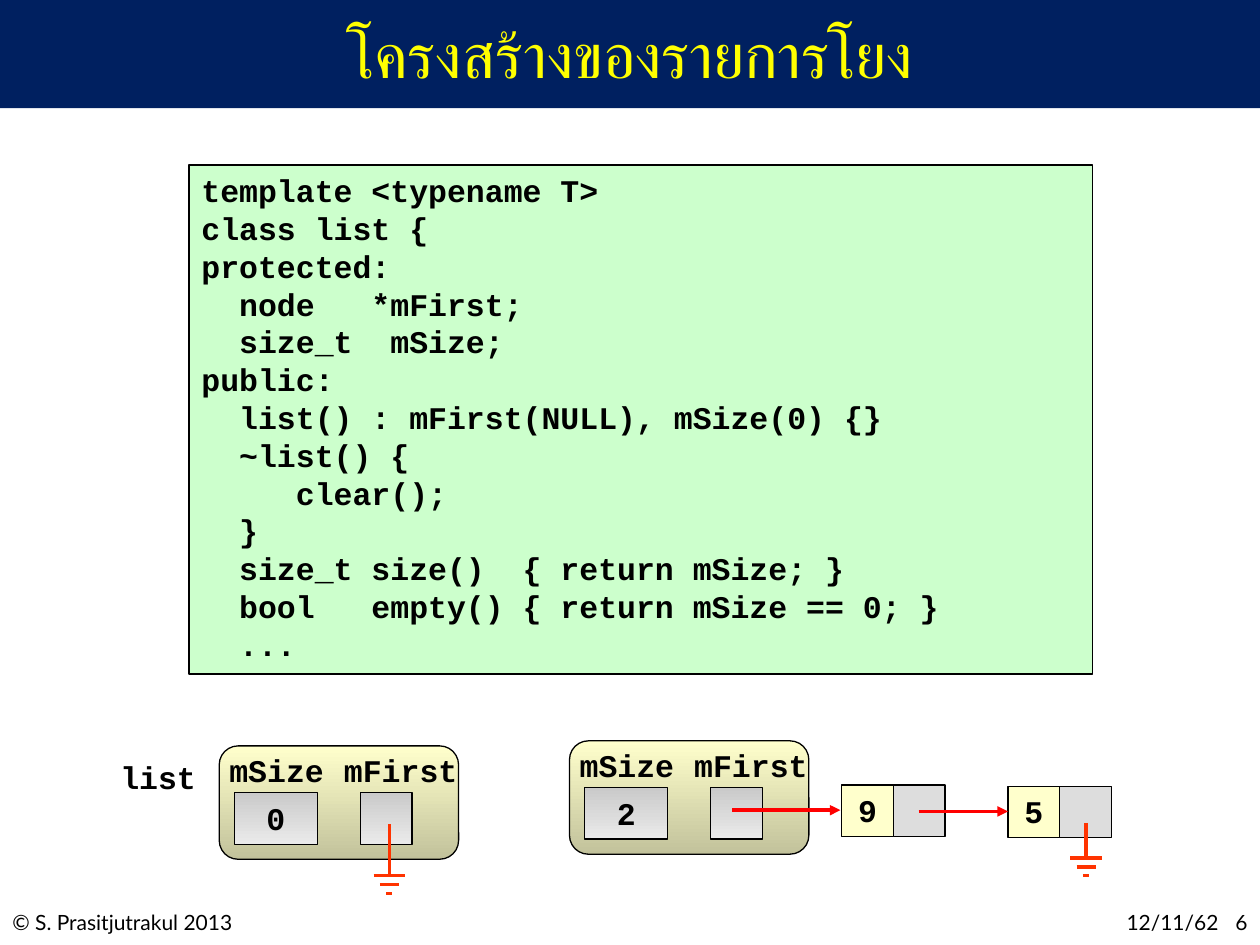
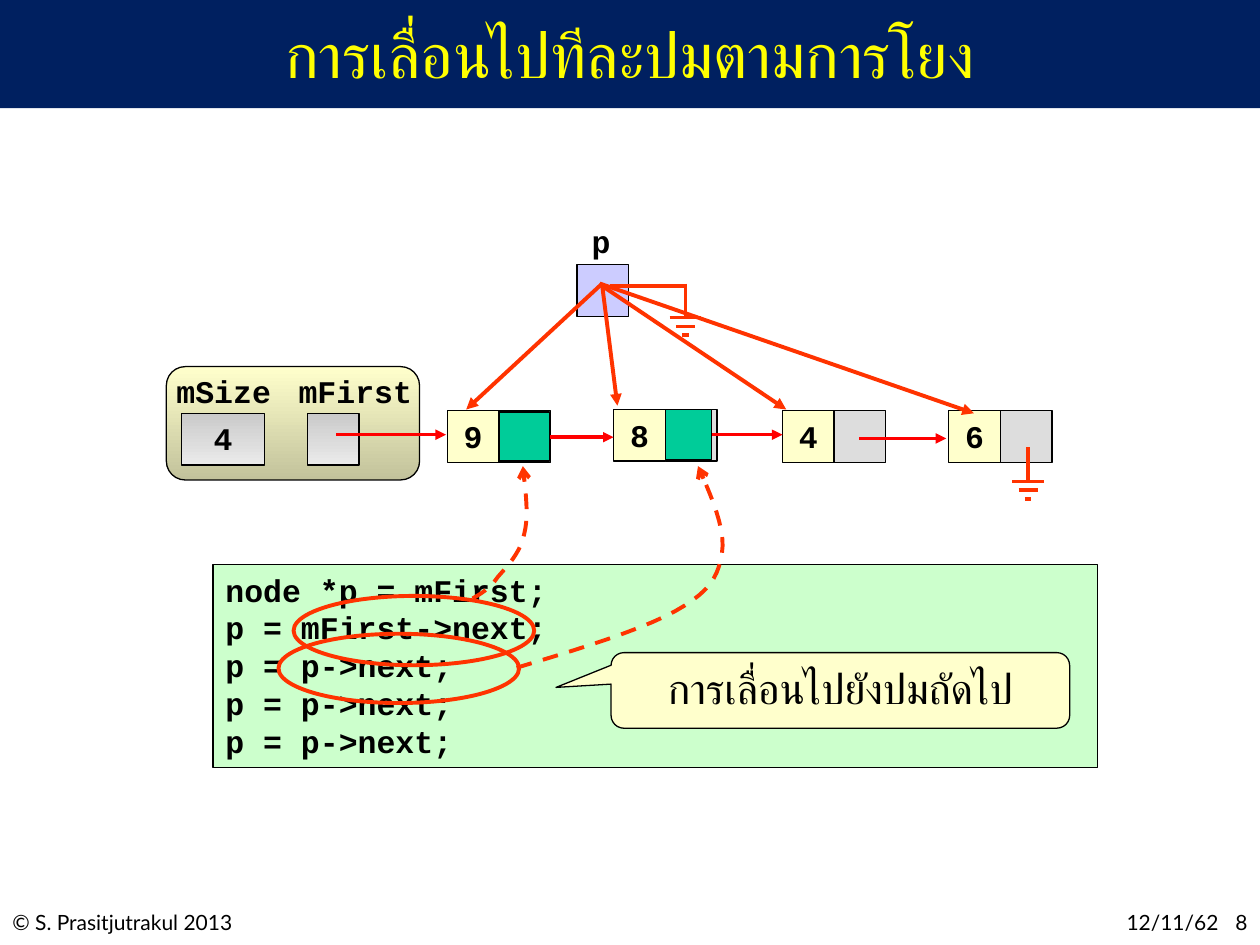
from lxml.etree import SubElement
from pptx import Presentation
from pptx.dml.color import RGBColor
from pptx.enum.dml import MSO_LINE as Dash
from pptx.enum.shapes import MSO_CONNECTOR as Conn, MSO_SHAPE as Form
from pptx.enum.text import MSO_ANCHOR as Anchor, PP_ALIGN as Align
from pptx.oxml.ns import qn
from pptx.util import Inches, Pt

MONO, SANS = "Courier New", "Lato"
BLACK, NAVY, YELLOW = "000000", "002060", "FFFF00"
RED, ORANGE = "FF0000", "FF3300"
CREAM, GREY, LILAC, TEAL, MINT = "FFFFCC", "DDDDDD", "CCCCFF", "00CC99", "CCFFCC"
CARD, SLOT = (CREAM, "C2C29B"), ("CACACA", "EAEAEA")
CELL = 0.41


def color(code):
    return RGBColor.from_string(code)


def curve(start, parts, steps=10):
    """Points along a chain of cubic curves, each (control, control, end)."""
    dots = [start]
    for a, b, end in parts:
        first = dots[-1]
        for i in range(1, steps + 1):
            t = i / steps
            u = 1 - t
            dots.append(tuple(
                u**3 * p + 3 * u * u * t * q + 3 * u * t * t * r + t**3 * s
                for p, q, r, s in zip(first, a, b, end)))
    return dots


class Deck:
    def __init__(self):
        self.show = Presentation()
        self.show.slide_width, self.show.slide_height = Inches(10), Inches(7.5)
        self.shapes = None

    def page(self, title, number):
        self.shapes = self.show.slides.add_slide(self.show.slide_layouts[6]).shapes
        self.box(0, 0, 10, 0.86, NAVY, edge=None)
        self.label(0, 7.17, 3.25, "© S. Prasitjutrakul 2013", Align.LEFT, 12, SANS, False)
        self.label(7.6, 7.17, 2.17, "12/11/62", Align.RIGHT, 12, SANS, False)
        self.label(9.5, 7.17, 0.5, number, Align.RIGHT, 12, SANS, False)
        head = self.label(0.75, 0.01, 8.5, title, size=36, bold=False, ink=YELLOW, h=0.83)
        head.text_frame.vertical_anchor = Anchor.MIDDLE

    def fill_text(self, shape, lines, align=Align.CENTER, size=18, font=MONO,
                  bold=True, ink=BLACK, pitch=None):
        frame = shape.text_frame
        frame.word_wrap = True
        frame.vertical_anchor = Anchor.TOP
        for i, line in enumerate(lines):
            para = frame.add_paragraph() if i else frame.paragraphs[0]
            para.alignment = align
            if pitch:
                para.line_spacing = Pt(pitch)
            run = para.add_run()
            run.text = line
            run.font.name, run.font.size, run.font.bold = font, Pt(size), bold
            run.font.color.rgb = color(ink)
        for props in shape.element.iter(qn("a:rPr")):
            SubElement(props, qn("a:cs")).set("typeface", font)

    def label(self, x, y, w, text, align=Align.CENTER, size=18, font=MONO,
              bold=True, ink=BLACK, h=0.4):
        shape = self.shapes.add_textbox(Inches(x), Inches(y), Inches(w), Inches(h))
        self.fill_text(shape, [text], align, size, font, bold, ink)
        return shape

    def box(self, x, y, w, h, fill, text="", form=Form.RECTANGLE, edge=BLACK, weight=0.75):
        """Preset shape; a pair of colours makes a downward gradient."""
        shape = self.shapes.add_shape(form, Inches(x), Inches(y), Inches(w), Inches(h))
        shape.shadow.inherit = False
        if fill is None:
            shape.fill.background()
        elif isinstance(fill, tuple):
            shape.fill.gradient()
            shape.fill.gradient_angle = 270
            for stop, code in zip(shape.fill.gradient_stops, fill):
                stop.color.rgb = color(code)
        else:
            shape.fill.solid()
            shape.fill.fore_color.rgb = color(fill)
        if edge:
            self.stroke(shape, edge, weight)
        else:
            shape.line.fill.background()
        if text:
            self.fill_text(shape, [text])
        return shape

    def stroke(self, shape, ink, weight, tip=None):
        shape.line.color.rgb = color(ink)
        shape.line.width = Pt(weight)
        if tip:
            SubElement(shape.element.spPr.find(qn("a:ln")), qn("a:tailEnd")).set("type", tip)

    def line(self, x1, y1, x2, y2, ink=ORANGE, weight=2, tip=None):
        link = self.shapes.add_connector(
            Conn.STRAIGHT, Inches(x1), Inches(y1), Inches(x2), Inches(y2))
        self.stroke(link, ink, weight, tip)
        SubElement(link.element.spPr, qn("a:effectLst"))

    def arrow(self, x1, y1, x2, y2, ink=RED, weight=2):
        self.line(x1, y1, x2, y2, ink, weight, "triangle")

    def trail(self, start, parts):
        """Dashed curved arrow."""
        dots = [(Inches(x), Inches(y)) for x, y in curve(start, parts)]
        pen = self.shapes.build_freeform(*dots[0])
        pen.add_line_segments(dots[1:], close=False)
        shape = pen.convert_to_shape()
        shape.shadow.inherit = False
        shape.fill.background()
        shape.line.dash_style = Dash.DASH
        self.stroke(shape, ORANGE, 2.25, "arrow")

    def ring(self, x, y):
        self.box(x, y, 1.91, 0.55, None, form=Form.OVAL, edge=ORANGE, weight=2.25)

    def ground(self, x, top, y):
        """Null sign: a stem and three shrinking bars."""
        self.line(x, top, x, y)
        for i, half in enumerate((0.125, 0.075, 0.025)):
            self.line(x - half, y + 0.07 * i, x + half, y + 0.07 * i)

    def head(self, x, y, count, w=1.9, tag=1.44):
        """List object; tag is the offset of the middle of the mFirst label."""
        self.box(x, y, w, 0.9, CARD, form=Form.ROUNDED_RECTANGLE)
        self.box(x + 1.12, y + 0.37, CELL, CELL, SLOT)
        self.label(x + tag - 0.6, y - 0.01, 1.2, "mFirst")
        self.box(x + 0.12, y + 0.37, 0.66, CELL, SLOT, count)
        self.label(x - 0.05, y - 0.01, 1.01, "mSize")

    def node(self, x, y, value):
        self.box(x, y, CELL, CELL, CREAM, value)
        self.box(x + CELL, y, CELL, CELL, GREY)

    def code(self, x, y, w, h, text):
        self.fill_text(self.box(x, y, w, h, MINT), text.strip("\n").split("\n"),
                       Align.LEFT, pitch=21.6)


LIST_CODE = """
template <typename T>
class list {
protected:
  node   *mFirst;
  size_t  mSize;
public:
  list() : mFirst(NULL), mSize(0) {}
  ~list() {
     clear();
  }
  size_t size()  { return mSize; }
  bool   empty() { return mSize == 0; }
  ...
"""

WALK_CODE = """
node *p = mFirst;
p = mFirst->next;
p = p->next;
p = p->next;
p = p->next;
"""


def layout(deck):
    deck.page("โครงสร้างของรายการโยง", "6")
    deck.head(1.74, 5.92, "0")
    deck.ground(3.09, 6.54, 6.95)
    deck.head(4.52, 5.88, "2")
    deck.node(8, 6.24, "5")
    deck.ground(8.62, 6.53, 6.81)
    deck.node(6.68, 6.23, "9")
    deck.arrow(5.81, 6.43, 6.67, 6.43)
    deck.arrow(7.29, 6.44, 8, 6.44)
    deck.code(1.5, 1.31, 7.17, 4.04, LIST_CODE)
    deck.label(0.77, 5.97, 0.97, "list")


def walk(deck):
    deck.page("การเลื่อนไปทีละปมตามการโยง", "8")
    deck.head(1.32, 2.91, "4", 2.01, 1.5)
    for x, y, value in ((3.55, 3.26, "9"), (4.87, 3.25, "8"),
                        (6.21, 3.26, "4"), (7.53, 3.26, "6")):
        deck.node(x, y, value)
    deck.ground(8.16, 3.55, 3.82)
    for x, y, end in ((2.67, 3.45, 3.54), (4.15, 3.47, 4.87),
                      (5.46, 3.45, 6.21), (6.82, 3.48, 7.51)):
        deck.arrow(x, y, end, y)

    deck.box(4.58, 2.1, CELL, CELL, LILAC)
    deck.label(4.37, 1.71, 0.8, "p")
    deck.code(1.69, 4.48, 7.02, 1.61, WALK_CODE)

    deck.box(3.96, 3.27, 0.4, 0.39, TEAL)
    deck.ring(2.33, 4.73)
    deck.trail((3.75, 4.75), [
        ((3.82, 4.71), (3.89, 4.67), (3.95, 4.58)),
        ((4.02, 4.5), (4.13, 4.39), (4.16, 4.24)),
        ((4.2, 4.09), (4.17, 3.9), (4.15, 3.7))])
    deck.box(5.28, 3.25, 0.37, 0.4, TEAL)
    deck.ring(2.21, 5.03)
    deck.trail((4.1, 5.3), [
        ((4.6, 5.15), (5.09, 5), (5.36, 4.85)),
        ((5.63, 4.7), (5.7, 4.58), (5.73, 4.39)),
        ((5.76, 4.2), (5.65, 3.95), (5.54, 3.7))])

    for x1, y1, x2, y2 in ((4.78, 2.25, 3.7, 3.25), (4.78, 2.27, 4.9, 3.22),
                           (4.78, 2.27, 6.24, 3.25), (4.76, 2.25, 7.73, 3.28)):
        deck.arrow(x1, y1, x2, y2, ORANGE, 2.25)
    deck.ground(5.44, 2.25, 2.52)
    deck.line(5.43, 2.27, 4.84, 2.27, weight=2.25)

    note = deck.box(4.85, 5.18, 3.64, 0.6, CREAM, form=Form.ROUNDED_RECTANGULAR_CALLOUT)
    for i, value in enumerate((-0.62, -0.04, 0.17)):
        note.adjustments[i] = value
    deck.fill_text(note, ["การเลื่อนไปยังปมถัดไป"], size=24, bold=False)


def main():
    deck = Deck()
    layout(deck)
    walk(deck)
    deck.show.save("out.pptx")


if __name__ == "__main__":
    main()
